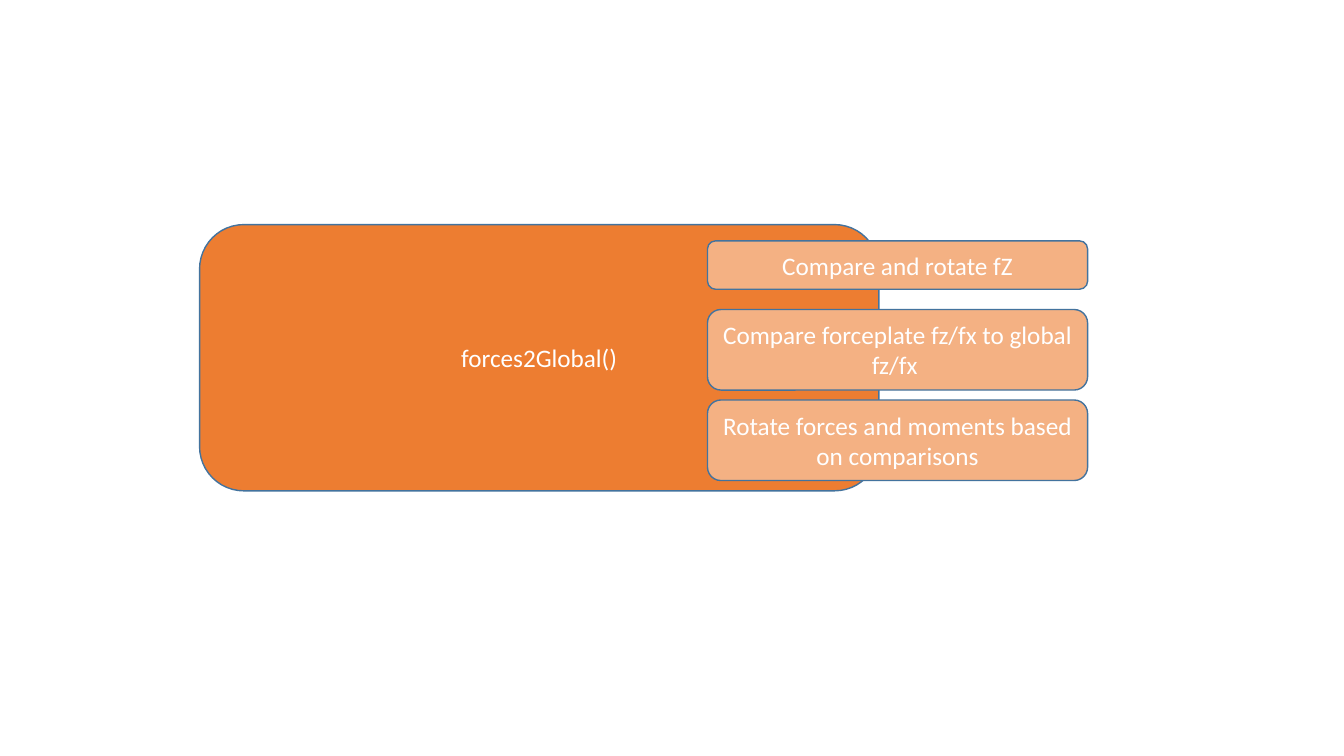
from pptx import Presentation
from pptx import util as u
from pptx.dml.color import RGBColor
from pptx.enum import shapes, text

FUNCTION = "forces2Global()"
# step, top and height in cm
STEPS = [
    ("Compare and rotate fZ", 6.07, 1.22),
    ("Compare forceplate fz/fx to global fz/fx ", 7.8, 2.03),
    ("Rotate forces and moments based on comparisons", 10.08, 2.03),
]
STEP_LEFT, STEP_WIDTH = 17.83, 9.58
ORANGE, LIGHT_ORANGE, BLUE, WHITE = "ED7D31", "F4B183", "43739E", "FFFFFF"


def paint(color_format, color):
    """Set a colour from a hex string."""
    color_format.rgb = RGBColor.from_string(color)


def write(frame, words, size=18, font="Calibri", color=WHITE):
    """Put centred, formatted words into a text frame."""
    frame.word_wrap = True
    frame.vertical_anchor = text.MSO_ANCHOR.MIDDLE
    line = frame.paragraphs[0]
    line.alignment = text.PP_ALIGN.CENTER
    run = line.add_run()
    run.text = words
    run.font.size = u.Pt(size)
    run.font.name = font
    paint(run.font.color, color)


def add_box(slide, words, left, top, width, height, fill):
    """Add a rounded box with words; lengths are in cm."""
    box = slide.shapes.add_shape(
        shapes.MSO_SHAPE.ROUNDED_RECTANGLE,
        *(u.Cm(length) for length in (left, top, width, height)))
    box.shadow.inherit = False
    box.fill.solid()
    paint(box.fill.fore_color, fill)
    paint(box.line.color, BLUE)
    box.line.width = u.Pt(1)
    write(box.text_frame, words)


deck = Presentation()
deck.slide_width, deck.slide_height = u.Cm(33.87), u.Cm(19.05)
slide = deck.slides.add_slide(deck.slide_layouts[6])

add_box(slide, FUNCTION, 5.03, 5.66, 17.12, 6.71, ORANGE)
for step, top, height in STEPS:
    add_box(slide, step, STEP_LEFT, top, STEP_WIDTH, height, LIGHT_ORANGE)

deck.save("out.pptx")
